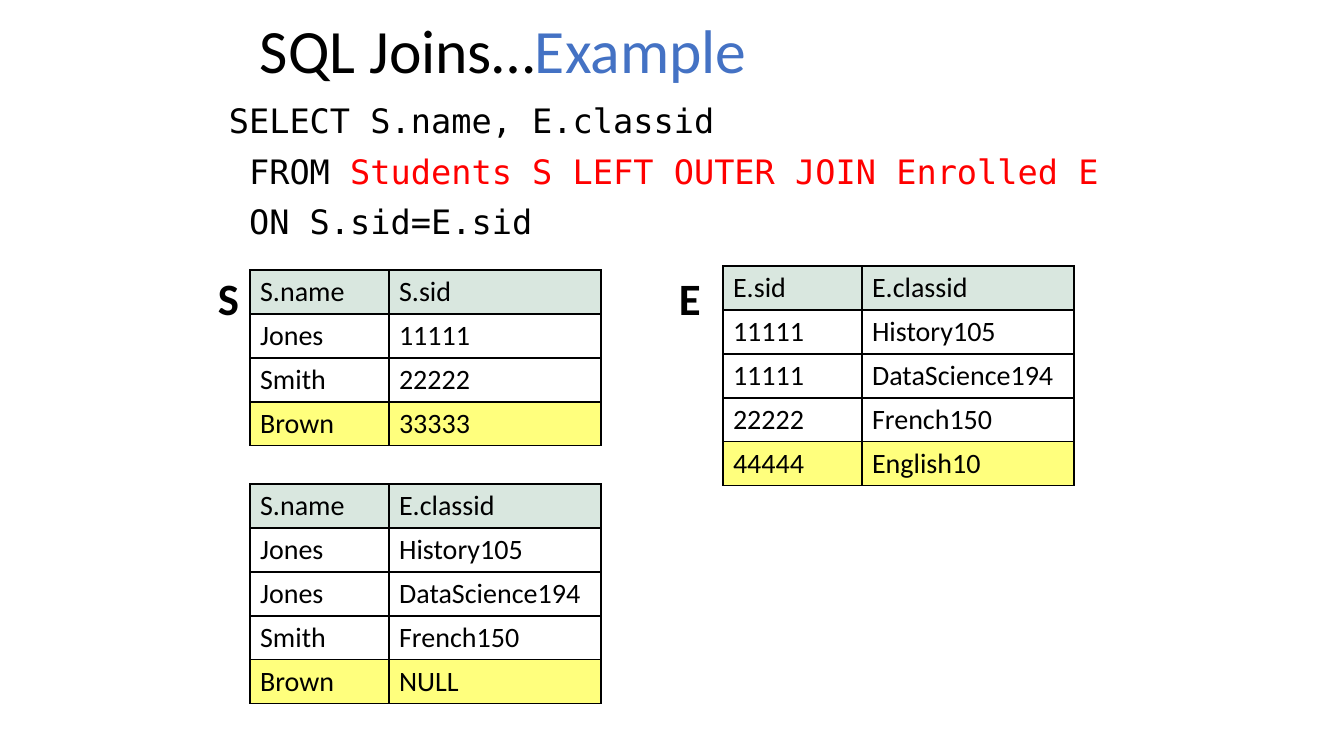
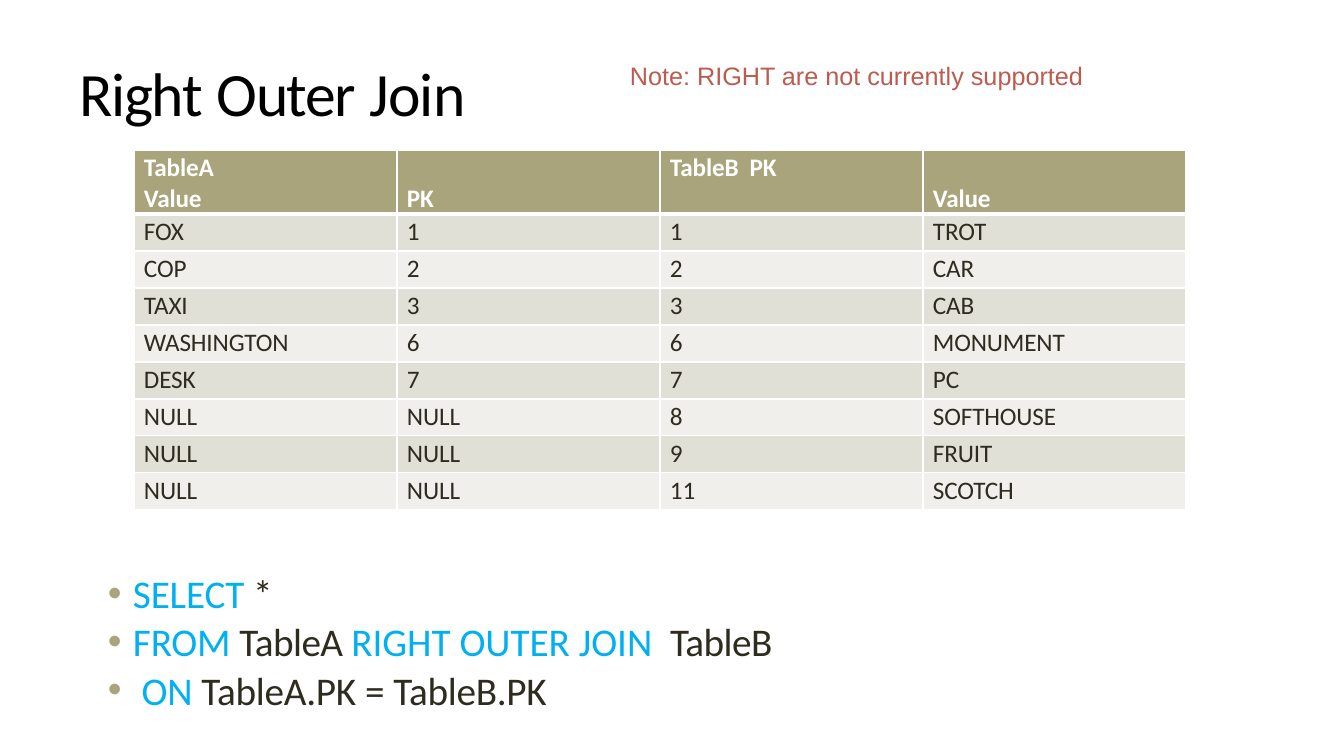
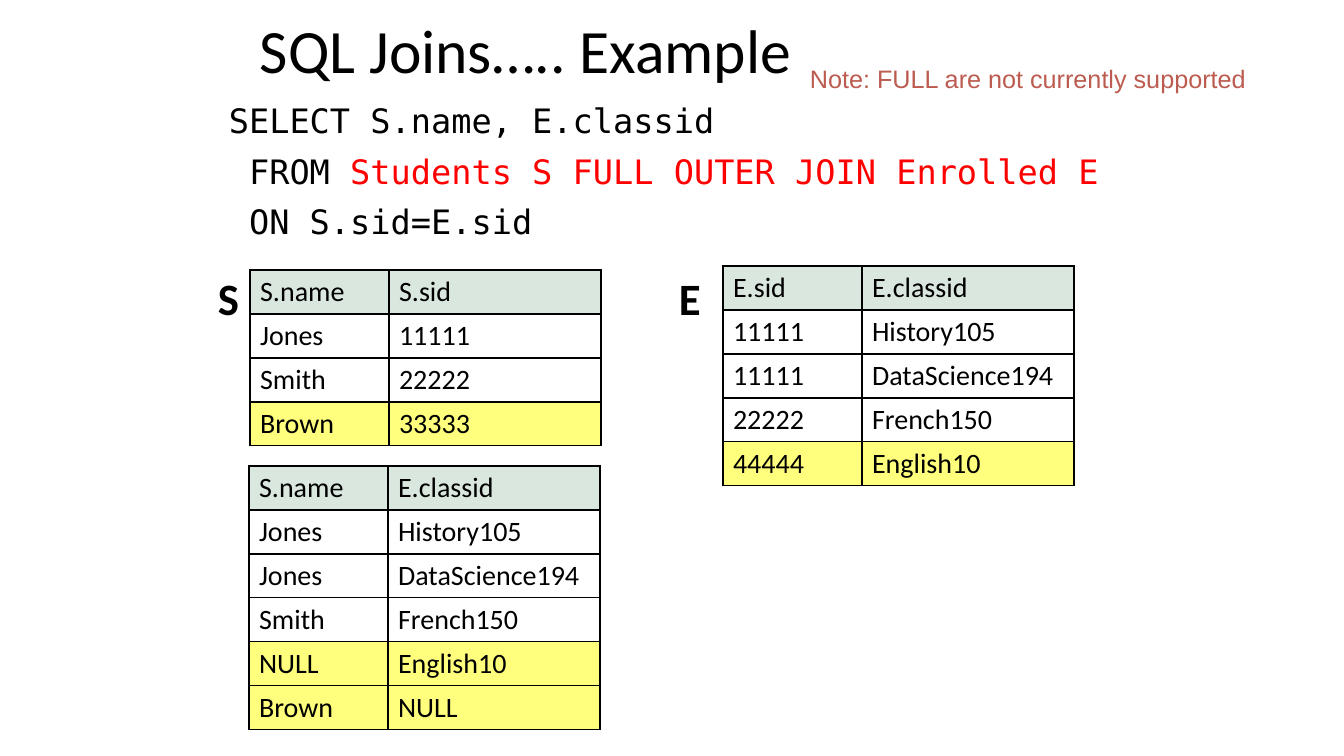
from lxml.etree import SubElement
from pptx import Presentation
from pptx.dml.color import RGBColor
from pptx.enum.text import MSO_ANCHOR as Anchor
from pptx.oxml.ns import qn
from pptx.util import Pt

EMU_PER_PX = 914400 / 100.8
BODY_FONT, CODE_FONT, NOTE_FONT = "Calibri", "DejaVu Sans Mono", "Arial"
BLACK, WHITE, RED, BLUE = "000000", "FFFFFF", "FF0000", "4472C4"
MINT, YELLOW = "D9E7DF", "FFFF7D"
OLIVE, BAND_DARK, BAND_LIGHT = "A9A47B", "E1E0D6", "F0EFEB"
INK, KEYWORD, NOTE_RED = "2E2B1F", "00B0F0", "BC5B4F"

STUDENTS = [("S.name", "S.sid"), ("Jones", "11111"), ("Smith", "22222"), ("Brown", "33333")]
ENROLLED = [
    ("E.sid", "E.classid"),
    ("11111", "History105"),
    ("11111", "DataScience194"),
    ("22222", "French150"),
    ("44444", "English10"),
]
MATCHED = [
    ("S.name", "E.classid"),
    ("Jones", "History105"),
    ("Jones", "DataScience194"),
    ("Smith", "French150"),
]
LEFT_ONLY, RIGHT_ONLY = ("Brown", "NULL"), ("NULL", "English10")
RIGHT_JOIN = [
    ("TableA  Value", "PK", "TableB  PK", "Value"),
    ("FOX", "1", "1", "TROT"),
    ("COP", "2", "2", "CAR"),
    ("TAXI", "3", "3", "CAB"),
    ("WASHINGTON", "6", "6", "MONUMENT"),
    ("DESK", "7", "7", "PC"),
    ("NULL", "NULL", "8", "SOFTHOUSE"),
    ("NULL", "NULL", "9", "FRUIT"),
    ("NULL", "NULL", "11", "SCOTCH"),
]


def px(length):
    return round(length * EMU_PER_PX)


def rgb(color):
    return RGBColor.from_string(color)


def add_runs(paragraph, runs, size, font=BODY_FONT, bold=False):
    for text, color, *spacing in runs:
        run = paragraph.add_run()
        run.text = text
        run.font.name = font
        run.font.size = Pt(size)
        run.font.bold = bold
        run.font.color.rgb = rgb(color)
        if spacing:
            run._r.get_or_add_rPr().set("spc", str(round(spacing[0] * 100)))


def set_margins(frame, left, top, right, bottom):
    frame.margin_left, frame.margin_top = px(left), px(top)
    frame.margin_right, frame.margin_bottom = px(right), px(bottom)


def add_text(slide, box, lines, size, font=BODY_FONT, bold=False, wrap=True,
             line_spacing=None, space_before=None):
    frame = slide.shapes.add_textbox(*map(px, box)).text_frame
    frame.word_wrap = wrap
    for index, runs in enumerate(lines):
        paragraph = frame.add_paragraph() if index else frame.paragraphs[0]
        if line_spacing:
            paragraph.line_spacing = line_spacing
        if space_before:
            paragraph.space_before = Pt(space_before)
        add_runs(paragraph, runs, size, font, bold)
    return frame


def add_title(slide, box, runs, line_spacing=0.9):
    frame = add_text(slide, box, [runs], 44, line_spacing=line_spacing)
    frame.vertical_anchor = Anchor.MIDDLE
    return frame


def add_note(slide, left, top, text):
    add_text(slide, (left, top, 540, 40), [[(text, NOTE_RED)]], 18, NOTE_FONT)


def add_bullets(frame, color):
    for paragraph in frame.paragraphs:
        properties = paragraph._p.get_or_add_pPr()
        properties.set("marL", str(px(26)))
        properties.set("indent", str(px(-25)))
        SubElement(SubElement(properties, qn("a:buClr")), qn("a:srgbClr"), val=color)
        SubElement(properties, qn("a:buFont"), typeface=NOTE_FONT)
        SubElement(properties, qn("a:buChar"), char="•")


def set_borders(cell, color, top=1, bottom=1):
    properties = cell._tc.get_or_add_tcPr()
    for side, width in (("L", 1), ("R", 1), ("T", top), ("B", bottom)):
        line = SubElement(properties, qn("a:ln" + side), w=str(Pt(width)))
        SubElement(SubElement(line, qn("a:solidFill")), qn("a:srgbClr"), val=color)


def fill_cell(cell, color):
    if color:
        cell.fill.solid()
        cell.fill.fore_color.rgb = rgb(color)
    else:
        cell.fill.background()


def add_grid(slide, left, top, rows, widths, heights):
    box = (left, top, sum(widths), sum(heights))
    table = slide.shapes.add_table(len(rows), len(widths), *map(px, box)).table
    table.first_row = table.horz_banding = False
    for column, width in zip(table.columns, widths):
        column.width = px(width)
    for row, height in zip(table.rows, heights):
        row.height = px(height)
    return table


def add_relation(slide, left, top, rows, highlighted=1):
    table = add_grid(slide, left, top, rows, (139, 212), [44] * len(rows))
    for row_index, row in enumerate(rows):
        is_highlighted = row_index >= len(rows) - highlighted
        color = MINT if row_index == 0 else YELLOW if is_highlighted else None
        for column_index, text in enumerate(row):
            cell = table.cell(row_index, column_index)
            set_borders(cell, BLACK)
            fill_cell(cell, color)
            add_runs(cell.text_frame.paragraphs[0], [(text, BLACK)], 20)


def add_banded_table(slide, left, top, rows):
    table = add_grid(slide, left, top, rows, [263] * 4, [64] + [37] * (len(rows) - 1))
    for row_index, row in enumerate(rows):
        is_header = row_index == 0
        color = OLIVE if is_header else BAND_DARK if row_index % 2 else BAND_LIGHT
        for column_index, text in enumerate(row):
            cell = table.cell(row_index, column_index)
            set_borders(cell, WHITE, top=3 if row_index == 1 else 1, bottom=3 if is_header else 1)
            fill_cell(cell, color)
            wraps = is_header and column_index == 0
            set_margins(cell, 10, 3, 150 if wraps else 0, 0)
            if is_header and column_index % 2:
                cell.vertical_anchor = Anchor.BOTTOM
            paragraph = cell.text_frame.paragraphs[0]
            paragraph.space_before = Pt(2.5)
            add_runs(paragraph, [(text, WHITE if is_header else INK, -0.1)], 18, bold=is_header)


def build_join_example(slide, title, join, result, result_left, result_top, highlighted):
    add_title(slide, (250, 8, 855, 92), title)
    query = [
        [("SELECT S.name, E.classid", BLACK)],
        [(" FROM ", BLACK), (f"Students S {join} OUTER JOIN Enrolled E", RED)],
        [(" ON S.sid=E.sid", BLACK)],
    ]
    add_text(slide, (219, 100, 926, 624), query, 24, CODE_FONT, line_spacing=0.9, space_before=10)
    add_relation(slide, 250, 270, STUDENTS)
    add_relation(slide, 723, 266, ENROLLED)
    add_relation(slide, result_left, result_top, result, highlighted)
    for label, left in (("E", 669), ("S", 208)):
        add_text(slide, (left, 266, 42, 65), [[(label, BLACK)]], 32, bold=True, wrap=False)


def build_right_join(slide):
    title = [
        ("Right", BLACK, -1.1), (" ", BLACK),
        ("Outer", BLACK, -1.1), (" ", BLACK),
        ("Joi", BLACK, -1.1), ("n", BLACK),
    ]
    set_margins(add_title(slide, (79, 53, 562, 77), title, None), 1, 1, 0, 0)
    query = [
        [("SELECT ", KEYWORD, -0.1), ("*", INK)],
        [("FROM ", KEYWORD, -0.1), ("TableA ", INK, -0.4),
         ("RIGHT OUTER JOIN  ", KEYWORD), ("TableB", INK, -0.4)],
        [(" ON ", KEYWORD, -0.1), ("TableA.PK", INK, -0.2),
         (" = ", INK), ("TableB.PK", INK, -0.2)],
    ]
    frame = add_text(slide, (107, 568, 958, 145), query, 28, space_before=1)
    set_margins(frame, 0, 1, 0, 0)
    add_bullets(frame, OLIVE)
    add_banded_table(slide, 134, 150, RIGHT_JOIN)
    add_note(slide, 620, 55, "Note: RIGHT are not currently supported")


def main():
    presentation = Presentation()
    presentation.slide_width, presentation.slide_height = px(1344), px(756)
    blank = presentation.slide_layouts[6]
    left_slide, right_slide, full_slide = (presentation.slides.add_slide(blank) for _ in range(3))

    build_join_example(left_slide, [("SQL Joins…", BLACK), ("Example", BLUE)], "LEFT",
                       MATCHED + [LEFT_ONLY], 250, 484, 1)
    build_right_join(right_slide)
    build_join_example(full_slide, [("SQL Joins….. Example", BLACK)], "FULL",
                       MATCHED + [RIGHT_ONLY, LEFT_ONLY], 249, 466, 2)
    add_note(full_slide, 800, 58, "Note: FULL are not currently supported")
    presentation.save("out.pptx")


if __name__ == "__main__":
    main()
